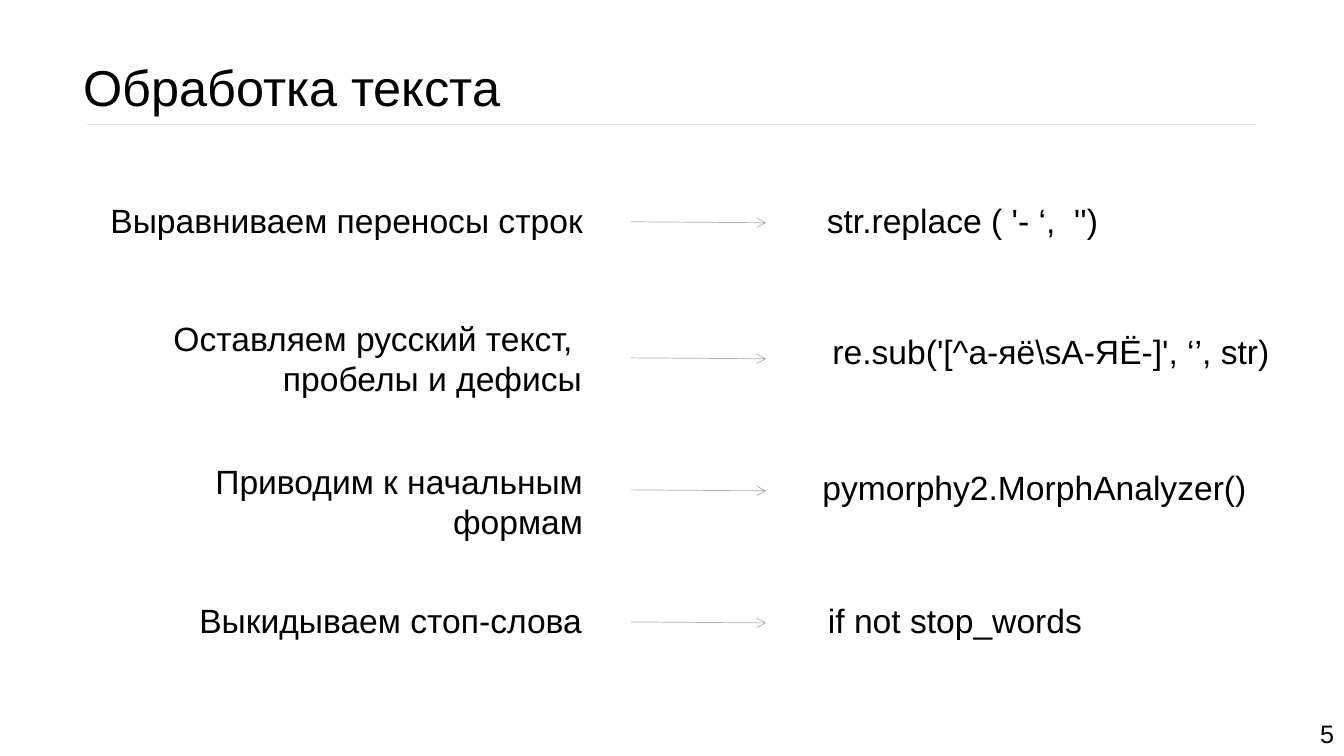
from dataclasses import dataclass

from lxml.etree import SubElement
from pptx import Presentation
from pptx.dml.color import RGBColor
from pptx.enum.shapes import MSO_CONNECTOR
from pptx.enum.text import PP_ALIGN
from pptx.oxml.ns import qn
from pptx.slide import Slide
from pptx.util import Inches, Pt

COLORS = {"text": "000000", "arrow": "AFABAB", "rule": "E7E6E6"}
FONT = "Arial"
ARROW_LEFT, ARROW_RIGHT, ARROW_DROP = 6.26, 7.6, 0.01


@dataclass
class Label:
    text: str
    left: float
    top: float
    width: float
    height: float = 0.5
    size: int = 24
    align: PP_ALIGN = PP_ALIGN.RIGHT


@dataclass
class Step:
    task: Label
    code: Label
    arrow_y: float


TITLE = Label("Обработка текста", 0.73, 0.51, 4.84, 0.71, 36, PP_ALIGN.LEFT)
PAGE_NUMBER = Label("5", 11.89, 7.08, 1.44, 0.4, 18)
STEPS = [
    Step(Label("Выравниваем переносы строк", 0.96, 1.93, 4.92),
         Label("str.replace ( '- ‘,  '')", 7.99, 1.93, 3), 2.2),
    Step(Label("Оставляем русский текст, \nпробелы и дефисы", 1.54, 3.1, 4.33, 0.91),
         Label(r"re.sub('[^а-яё\sА-ЯЁ-]', ‘’, str)", 7.99, 3.23, 4.7), 3.55),
    Step(Label("Приводим к начальным формам", 0.67, 4.52, 5.21),
         Label("pymorphy2.MorphAnalyzer()", 7.99, 4.58, 4.47), 4.86),
    Step(Label("Выкидываем стоп-слова", 1.78, 5.9, 4.09),
         Label("if not stop_words", 8.03, 5.9, 2.8), 6.17),
]


def add_label(s: Slide, label: Label) -> None:
    sp = s.shapes.add_textbox(Inches(label.left), Inches(label.top),
                              Inches(label.width), Inches(label.height))
    tf = sp.text_frame
    tf.word_wrap = True
    tf.text = label.text
    for p in tf.paragraphs:
        p.alignment = label.align
        for r in p.runs:
            r.font.name = FONT
            r.font.size = Pt(label.size)
            r.font.color.rgb = RGBColor.from_string(COLORS["text"])


def add_line(s: Slide, x1: float, y1: float, x2: float, y2: float,
             color: str, arrow: bool = False) -> None:
    cxn = s.shapes.add_connector(MSO_CONNECTOR.STRAIGHT, Inches(x1), Inches(y1),
                                 Inches(x2), Inches(y2))
    cxn.line.color.rgb = RGBColor.from_string(COLORS[color])
    cxn.line.width = Pt(0.5)
    sp_pr = cxn.element.spPr
    if arrow:
        SubElement(sp_pr.find(qn("a:ln")), qn("a:tailEnd"), type="arrow")
    SubElement(sp_pr, qn("a:effectLst"))


def main() -> None:
    prs = Presentation()
    prs.slide_width, prs.slide_height = Inches(13.33), Inches(7.5)
    s = prs.slides.add_slide(prs.slide_layouts[6])
    add_label(s, PAGE_NUMBER)
    add_label(s, TITLE)
    for step in STEPS:
        add_label(s, step.task)
        add_label(s, step.code)
        add_line(s, ARROW_LEFT, step.arrow_y, ARROW_RIGHT,
                 step.arrow_y + ARROW_DROP, "arrow", arrow=True)
    add_line(s, 0.86, 1.23, 12.47, 1.23, "rule")
    prs.save("out.pptx")


if __name__ == "__main__":
    main()
